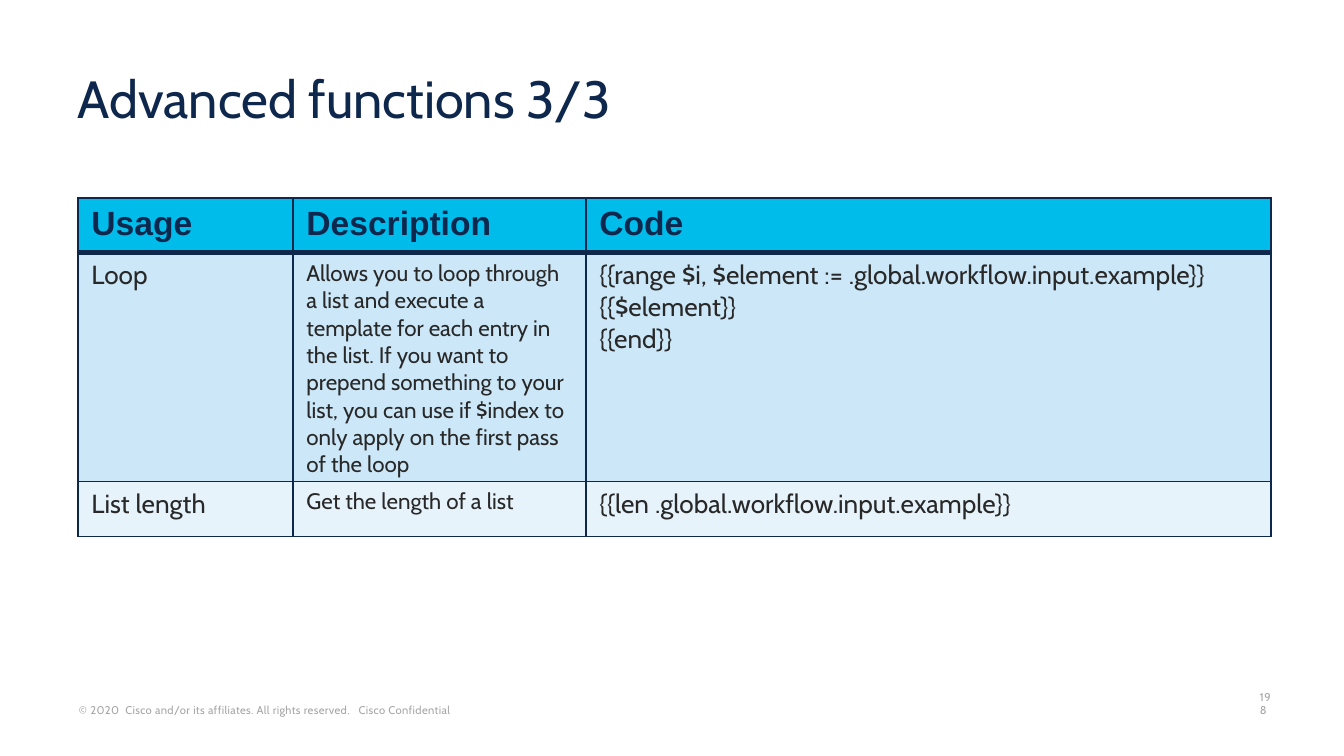
from dataclasses import dataclass

from lxml import etree
from pptx import Presentation
from pptx import util as u
from pptx.dml.color import RGBColor
from pptx.enum import text
from pptx.oxml.ns import qn

TITLE = "Advanced functions 3/3"
COPYRIGHT = "© 2020  Cisco and/or its affiliates. All rights reserved.   Cisco Confidential"
PAGE = "198"
HEADER = ["Usage", "Description", "Code"]
FUNCTIONS = [
    ["Loop",
     "Allows you to loop through a list and execute a template for each entry "
     "in the list. If you want to prepend something to your list, you can use "
     "if $index to only apply on the first pass of the loop",
     "{{range $i, $element := .global.workflow.input.example}}\n{{$element}}\n{{end}}"],
    ["List length", "Get the length of a list", "{{len .global.workflow.input.example}}"],
]
COL_WIDTHS = [215, 293, 685]
ROW_HEIGHTS = [55, 228, 55]


@dataclass(frozen=True)
class Theme:
    navy: str = "0D274D"
    ink: str = "282828"
    grey: str = "A6A6A6"
    header_fill: str = "00BCEB"
    bands: tuple = ("CCE7F7", "E7F3FB")
    body_font: str = "Cabin"
    header_font: str = "Arial"
    title_size: int = 28
    header_size: int = 18
    body_sizes: tuple = (14, 12, 14)
    footer_size: int = 6
    rule: int = 1
    header_rule: int = 3


THEME = Theme()


def px(n):
    return u.Emu(round(n * 914400 / 134.4))


def style(p, size, color, name=THEME.body_font, bold=False):
    f = p.font
    f.size, f.name, f.bold = u.Pt(size), name, bold
    f.color.rgb = RGBColor.from_string(color)


def add_text(s, box, words, size, color, anchor, inset):
    tf = s.shapes.add_textbox(*map(px, box)).text_frame
    tf.word_wrap = True
    tf.vertical_anchor = anchor
    tf.margin_left = tf.margin_right = px(inset[0])
    tf.margin_top = tf.margin_bottom = px(inset[1])
    p = tf.paragraphs[0]
    p.text = words
    style(p, size, color)
    return p


def add_footer(s, box, words):
    p = add_text(s, box, words, THEME.footer_size, THEME.grey,
                 text.MSO_ANCHOR.BOTTOM, (9, 4))
    p.runs[0].font._element.set("spc", "20")


def set_borders(cell, top, bottom):
    """Rule all four sides; lines must come before the fill in tcPr."""
    tc_pr = cell._tc.get_or_add_tcPr()
    widths = {"lnL": THEME.rule, "lnR": THEME.rule, "lnT": top, "lnB": bottom}
    for i, (tag, width) in enumerate(widths.items()):
        ln = etree.Element(qn(f"a:{tag}"), w=str(u.Pt(width)))
        fill = etree.SubElement(ln, qn("a:solidFill"))
        etree.SubElement(fill, qn("a:srgbClr"), val=THEME.navy)
        tc_pr.insert(i, ln)


def add_function_table(s):
    rows = [HEADER] + FUNCTIONS
    box = (78, 198, sum(COL_WIDTHS), sum(ROW_HEIGHTS))
    table = s.shapes.add_table(len(rows), len(HEADER), *map(px, box)).table
    for column, width in zip(table.columns, COL_WIDTHS):
        column.width = px(width)
    for r, (row, height) in enumerate(zip(rows, ROW_HEIGHTS)):
        table.rows[r].height = px(height)
        for c, words in enumerate(row):
            cell = table.cell(r, c)
            cell.text = words
            cell.fill.solid()
            fill = THEME.bands[(r - 1) % 2] if r else THEME.header_fill
            cell.fill.fore_color.rgb = RGBColor.from_string(fill)
            set_borders(cell, THEME.header_rule if r == 1 else THEME.rule,
                        THEME.header_rule if r == 0 else THEME.rule)
            for p in cell.text_frame.paragraphs:
                if r:
                    style(p, THEME.body_sizes[c], THEME.ink)
                else:
                    style(p, THEME.header_size, THEME.navy, THEME.header_font, True)


def main():
    prs = Presentation()
    prs.slide_width, prs.slide_height = px(1344), px(756)
    s = prs.slides.add_slide(prs.slide_layouts[6])
    add_footer(s, (70, 698, 500, 23), COPYRIGHT)
    add_footer(s, (1251, 698, 32, 23), PAGE)
    add_function_table(s)
    title = add_text(s, (65, 50, 1227, 107), TITLE, THEME.title_size, THEME.navy,
                     text.MSO_ANCHOR.MIDDLE, (13, 7))
    title.line_spacing = 0.8
    prs.save("out.pptx")


if __name__ == "__main__":
    main()
